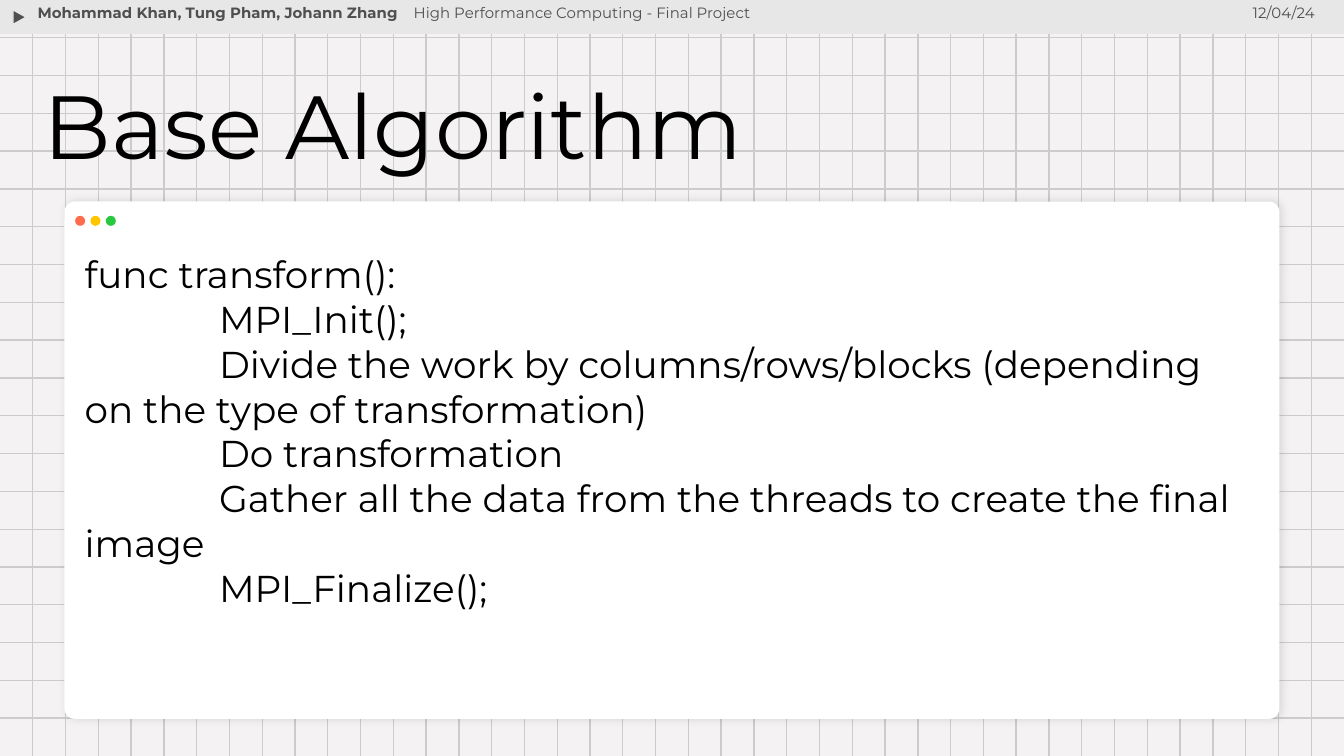
from dataclasses import dataclass

import pptx
import pptx.dml.color
import pptx.enum.shapes
import pptx.enum.text
import pptx.oxml
import pptx.oxml.ns
import pptx.util
from pptx.util import Cm

SHAPE = pptx.enum.shapes.MSO_SHAPE
ALIGN = pptx.enum.text.PP_ALIGN


@dataclass(frozen=True)
class Theme:
    font: str = "Montserrat"
    background: str = "F4F2F2"
    grid: str = "CCCCCC"
    bar: str = "E7E7E7"
    muted: str = "4F4F4F"
    ink: str = "000000"
    panel: str = "FFFFFF"
    dots: tuple[str, ...] = ("FF6B4D", "FFC600", "28C840")
    title_size: float = 48
    body_size: float = 20
    header_size: float = 8
    line_width: float = 0.75


@dataclass(frozen=True)
class Area:
    """A rectangle in centimetres."""
    left: float
    top: float
    width: float
    height: float

    def lengths(self) -> tuple[Cm, Cm, Cm, Cm]:
        return Cm(self.left), Cm(self.top), Cm(self.width), Cm(self.height)


@dataclass(frozen=True)
class Line:
    text: str
    indent: float = 0


@dataclass(frozen=True)
class TextBlock:
    area: Area
    lines: tuple[Line, ...]
    size: float
    color: str
    bold: bool = False
    align: ALIGN = ALIGN.LEFT
    spacing: float = 1.0


THEME = Theme()
PAGE_WIDTH, PAGE_HEIGHT = 25.4, 14.29
COLUMNS, ROWS = 41, 20
DOT_SIZE, DOT_PITCH = 0.19, 0.29
STEP_INDENT = 2.54

BLOCKS = (
    TextBlock(Area(0.58, 1.3, 24.61, 4.22), (Line("Base Algorithm"),),
              THEME.title_size, THEME.ink, spacing=0.9),
    TextBlock(Area(1.35, 4.5, 22.45, 8.92), (
        Line("func transform():"),
        Line("MPI_Init();", STEP_INDENT),
        Line("Divide the work by columns/rows/blocks (depending on the type "
             "of transformation)", STEP_INDENT),
        Line("Do transformation", STEP_INDENT),
        Line("Gather all the data from the threads to create the final image",
             STEP_INDENT),
        Line("MPI_Finalize();", STEP_INDENT),
    ), THEME.body_size, THEME.ink),
    TextBlock(Area(21.92, -0.1, 3.18, 0.86), (Line("12/04/24"),),
              THEME.header_size, THEME.muted, align=ALIGN.RIGHT),
    TextBlock(Area(0.46, -0.1, 9.5, 0.94),
              (Line("Mohammad Khan, Tung Pham, Johann Zhang"),),
              THEME.header_size, THEME.muted, bold=True),
    TextBlock(Area(7.57, -0.1, 10.59, 0.86),
              (Line("High Performance Computing - Final Project"),),
              THEME.header_size, THEME.muted),
)


def rgb(color: str) -> pptx.dml.color.RGBColor:
    return pptx.dml.color.RGBColor.from_string(color)


def draw_shape(page, kind: SHAPE, area: Area, color: str):
    shape = page.shapes.add_shape(kind, *area.lengths())
    shape.shadow.inherit = False
    shape.fill.solid()
    shape.fill.fore_color.rgb = rgb(color)
    shape.line.fill.background()
    return shape


def draw_grid_line(page, x1: float, y1: float, x2: float, y2: float) -> None:
    line = page.shapes.add_connector(
        pptx.enum.shapes.MSO_CONNECTOR.STRAIGHT, Cm(x1), Cm(y1), Cm(x2), Cm(y2))
    line.line.color.rgb = rgb(THEME.grid)
    line.line.width = pptx.util.Pt(THEME.line_width)
    line._element.spPr.append(pptx.oxml.parse_xml(
        f"<a:effectLst {pptx.oxml.ns.nsdecls('a')}/>"))


def draw_grid(page) -> None:
    for row in range(ROWS - 1, 0, -1):
        y = row * PAGE_HEIGHT / ROWS
        draw_grid_line(page, 0, y, PAGE_WIDTH, y)
    for column in range(COLUMNS - 1, 0, -1):
        x = column * PAGE_WIDTH / COLUMNS
        draw_grid_line(page, x, 0, x, PAGE_HEIGHT)


def draw_header_bar(page) -> None:
    draw_shape(page, SHAPE.RECTANGLE, Area(0, 0, PAGE_WIDTH, 0.64), THEME.bar)
    marker = draw_shape(page, SHAPE.ISOSCELES_TRIANGLE,
                        Area(0.23, 0.2, 0.28, 0.25), THEME.muted)
    marker.rotation = 90
    marker.line.color.rgb = rgb(THEME.bar)
    marker.line.width = pptx.util.Pt(THEME.line_width)


def draw_window(page) -> None:
    panel = draw_shape(page, SHAPE.ROUNDED_RECTANGLE,
                       Area(1.22, 3.81, 22.96, 9.78), THEME.panel)
    panel.adjustments[0] = 0.02
    effects = panel._element.spPr.find(pptx.oxml.ns.qn("a:effectLst"))
    effects.append(pptx.oxml.parse_xml(
        f'<a:outerShdw {pptx.oxml.ns.nsdecls("a")} blurRad="{pptx.util.Pt(4.5)}" '
        f'dist="{pptx.util.Pt(1.5)}" dir="0" algn="bl" rotWithShape="0">'
        f'<a:srgbClr val="{THEME.ink}"><a:alpha val="11000"/></a:srgbClr>'
        "</a:outerShdw>"))
    for index, color in enumerate(THEME.dots):
        draw_shape(page, SHAPE.OVAL,
                   Area(1.42 + index * DOT_PITCH, 4.08, DOT_SIZE, DOT_SIZE), color)


def draw_text(page, block: TextBlock) -> None:
    box = page.shapes.add_textbox(*block.area.lengths())
    frame = box.text_frame
    frame.word_wrap = True
    frame.margin_left = frame.margin_right = Cm(0.25)
    frame.margin_top = frame.margin_bottom = Cm(0.25)
    for index, line in enumerate(block.lines):
        para = frame.add_paragraph() if index else frame.paragraphs[0]
        para.text = line.text
        para.alignment = block.align
        para.line_spacing = block.spacing
        para.font.name = THEME.font
        para.font.size = pptx.util.Pt(block.size)
        para.font.bold = block.bold
        para.font.color.rgb = rgb(block.color)
        if line.indent:
            properties = para._p.get_or_add_pPr()
            properties.set("marL", "0")
            properties.set("indent", str(Cm(line.indent)))


def main() -> None:
    deck = pptx.Presentation()
    deck.slide_width, deck.slide_height = Cm(PAGE_WIDTH), Cm(PAGE_HEIGHT)
    page = deck.slides.add_slide(deck.slide_layouts[6])
    page.background.fill.solid()
    page.background.fill.fore_color.rgb = rgb(THEME.background)
    draw_grid(page)
    draw_header_bar(page)
    draw_window(page)
    for block in BLOCKS:
        draw_text(page, block)
    deck.save("out.pptx")


if __name__ == "__main__":
    main()
